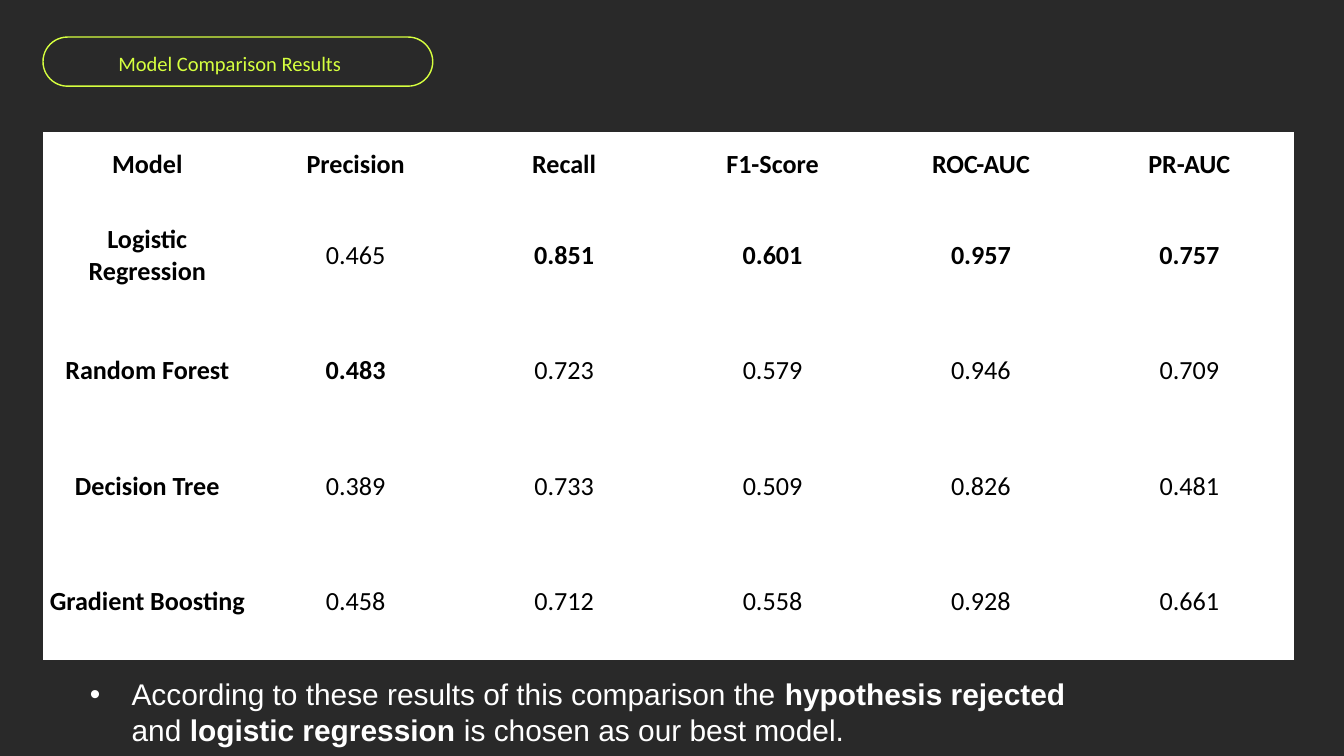
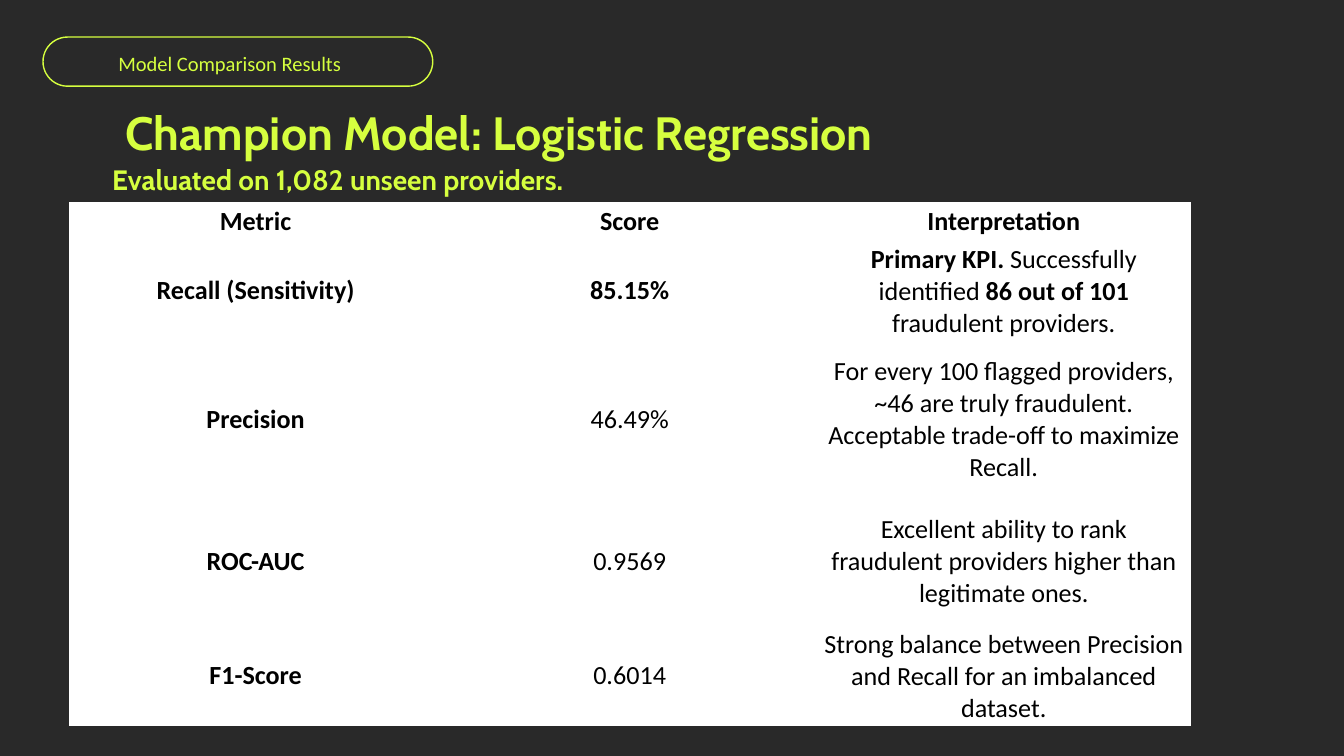
"""Build two slides that compare fraud models and present the chosen one."""
from lxml.etree import SubElement
from pptx import Presentation
from pptx.dml.color import RGBColor
from pptx.enum.shapes import MSO_SHAPE as Shape
from pptx.enum.text import MSO_ANCHOR as Anchor, MSO_AUTO_SIZE as AutoSize, PP_ALIGN as Align
from pptx.oxml.ns import qn
from pptx.util import Inches, Pt

COLORS = {"background": "292929", "accent": "D6FF3F", "paper": "FFFFFF", "ink": "000000"}
PLAIN_TABLE = "{2D5ABB26-0587-4C30-8999-92F81FD0307C}"
TOPIC = "Model Comparison Results"

deck = Presentation()
deck.slide_width, deck.slide_height = Inches(20), Inches(11.25)
COLUMN, ROW = deck.slide_width / 100, deck.slide_height / 100


def area(left, top, width, height):
    """Turn percentages of the slide into a position and size."""
    return [round(share * unit) for share, unit in
            zip((left, top, width, height), (COLUMN, ROW, COLUMN, ROW))]


def write(frame, text, font, size, color, align=Align.LEFT, spacing=None):
    """Write one paragraph, with the parts between asterisks in bold."""
    frame.word_wrap = True
    para = frame.paragraphs[0]
    para.alignment = align
    if spacing:
        para.line_spacing = Pt(spacing)
    for index, part in enumerate(text.split("*")):
        if part:
            span = para.add_run()
            span.text = part
            span.font.name, span.font.size = font, Pt(size)
            span.font.bold = index % 2 == 1
            span.font.color.rgb = RGBColor.from_string(COLORS[color])
    return para


slides = [
    {
        "headings": [(TOPIC, (8.8, 6.2, 25.9, 3.65), "Calibri", 22, Align.LEFT, 30.8)],
        "table_at": (3.2, 17.5, 93.05),
        "row_shares": [8.62] + [15.29] * 4,
        "rows": [
            ["*Model*", "*Precision*", "*Recall*", "*F1-Score*", "*ROC-AUC*", "*PR-AUC*"],
            ["*Logistic Regression*", "0.465", "*0.851*", "*0.601*", "*0.957*", "*0.757*"],
            ["*Random Forest*", "*0.483*", "0.723", "0.579", "0.946", "0.709"],
            ["*Decision Tree*", "0.389", "0.733", "0.509", "0.826", "0.481"],
            ["*Gradient Boosting*", "0.458", "0.712", "0.558", "0.928", "0.661"],
        ],
        "conclusion": "According to these results of this comparison the *hypothesis rejected* "
                      "and *logistic regression* is chosen as our best model.",
    },
    {
        "headings": [
            ("*Champion Model: Logistic Regression*", (4.7, 12.44, 64.9, 8.36),
             "Cabin", 50, Align.CENTER, 70),
            (TOPIC, (8.8, 6.2, 25.9, 3.65), "Calibri", 22, Align.LEFT, 30.8),
            ("*Evaluated on 1,082 unseen providers.*", (-9.15, 20.7, 68.55, 4.98),
             "Cabin", 30, Align.CENTER, 42),
        ],
        "table_at": (5.1, 26.67, 83.5),
        "row_shares": [5.16, 12.98, 20.71, 16.8, 12.98],
        "rows": [
            ["*Metric*", "*Score*", "*Interpretation*"],
            ["*Recall (Sensitivity)*", "*85.15%*",
             "*Primary KPI.* Successfully identified *86 out of 101* fraudulent providers."],
            ["*Precision*", "46.49%",
             "For every 100 flagged providers, ~46 are truly fraudulent. "
             "Acceptable trade-off to maximize Recall."],
            ["*ROC-AUC*", "0.9569",
             "Excellent ability to rank fraudulent providers higher than legitimate ones."],
            ["*F1-Score*", "0.6014",
             "Strong balance between Precision and Recall for an imbalanced dataset."],
        ],
        "conclusion": None,
    },
]

for content in slides:
    page = deck.slides.add_slide(deck.slide_layouts[5])
    page.background.fill.solid()
    page.background.fill.fore_color.rgb = RGBColor.from_string(COLORS["background"])

    pill = page.shapes.add_shape(Shape.ROUNDED_RECTANGLE, *area(3.2, 4.9, 29, 6.5))
    pill.adjustments[0] = 0.5
    pill.shadow.inherit = False
    pill.fill.background()
    pill.line.color.rgb = RGBColor.from_string(COLORS["accent"])
    pill.line.width = Pt(1.5)

    for order, (text, place, font, size, align, spacing) in enumerate(content["headings"]):
        box = page.shapes.title if order == 0 else page.shapes.add_textbox(*area(*place))
        box.left, box.top, box.width, box.height = area(*place)
        frame = box.text_frame
        frame.margin_left = frame.margin_top = frame.margin_right = frame.margin_bottom = 0
        frame.vertical_anchor = Anchor.TOP
        frame.auto_size = AutoSize.SHAPE_TO_FIT_TEXT
        write(frame, text, font, size, "accent", align, spacing)

    rows, row_shares = content["rows"], content["row_shares"]
    place = area(*content["table_at"], sum(row_shares))
    table = page.shapes.add_table(len(rows), len(rows[0]), *place).table
    table.first_row = table.horz_banding = False
    table._tbl.tblPr.find(qn("a:tableStyleId")).text = PLAIN_TABLE
    for table_row, share, texts in zip(table.rows, row_shares, rows):
        table_row.height = round(share * ROW)
        for cell, text in zip(table_row.cells, texts):
            cell.fill.solid()
            cell.fill.fore_color.rgb = RGBColor.from_string(COLORS["paper"])
            cell.vertical_anchor = Anchor.MIDDLE
            write(cell.text_frame, text, "Calibri", 28, "ink", Align.CENTER)

    if content["conclusion"]:
        box = page.shapes.add_textbox(*area(6.2, 89, 75.7, 10.5))
        box.text_frame.auto_size = AutoSize.SHAPE_TO_FIT_TEXT
        para = write(box.text_frame, content["conclusion"], "Arial", 32, "paper")
        settings = para._p.get_or_add_pPr()
        indent = round(3.1 * COLUMN)
        settings.set("marL", str(indent))
        settings.set("indent", str(-indent))
        SubElement(settings, qn("a:buFont"), typeface="Arial")
        SubElement(settings, qn("a:buChar"), char="•")

deck.save("out.pptx")
